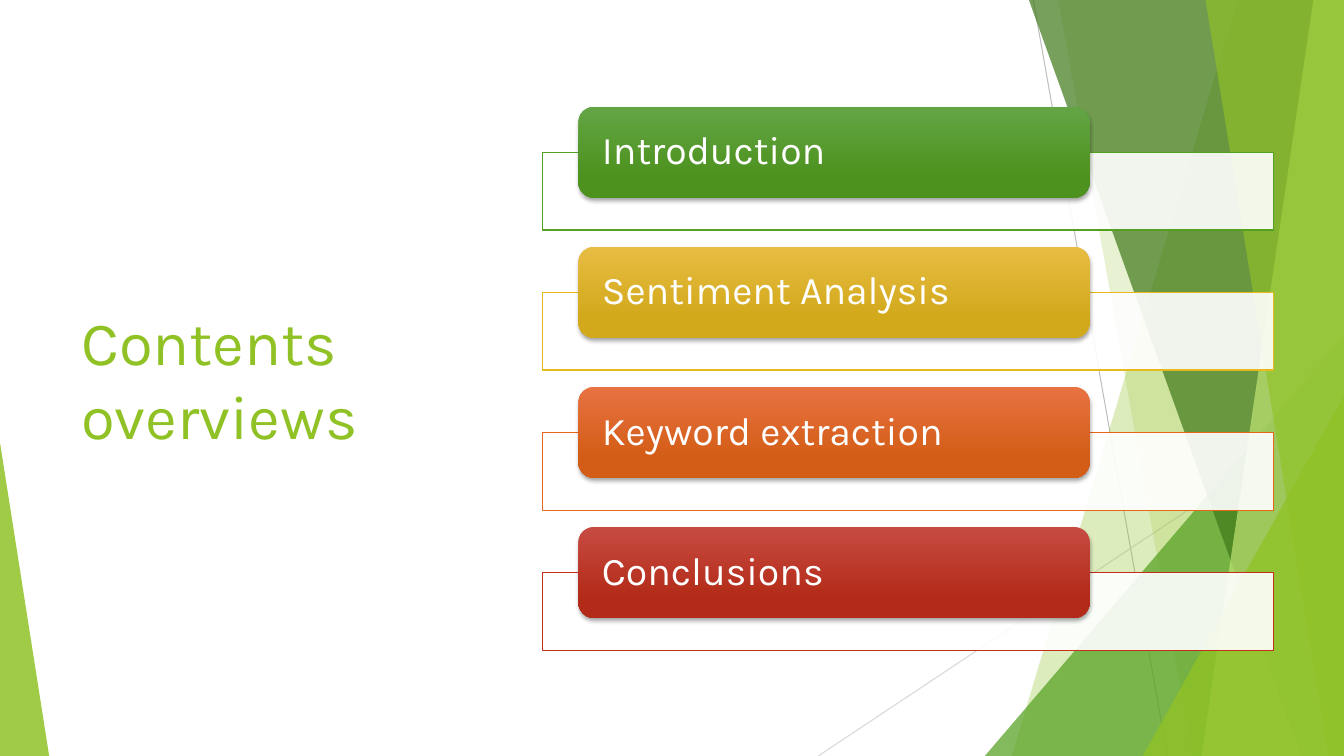
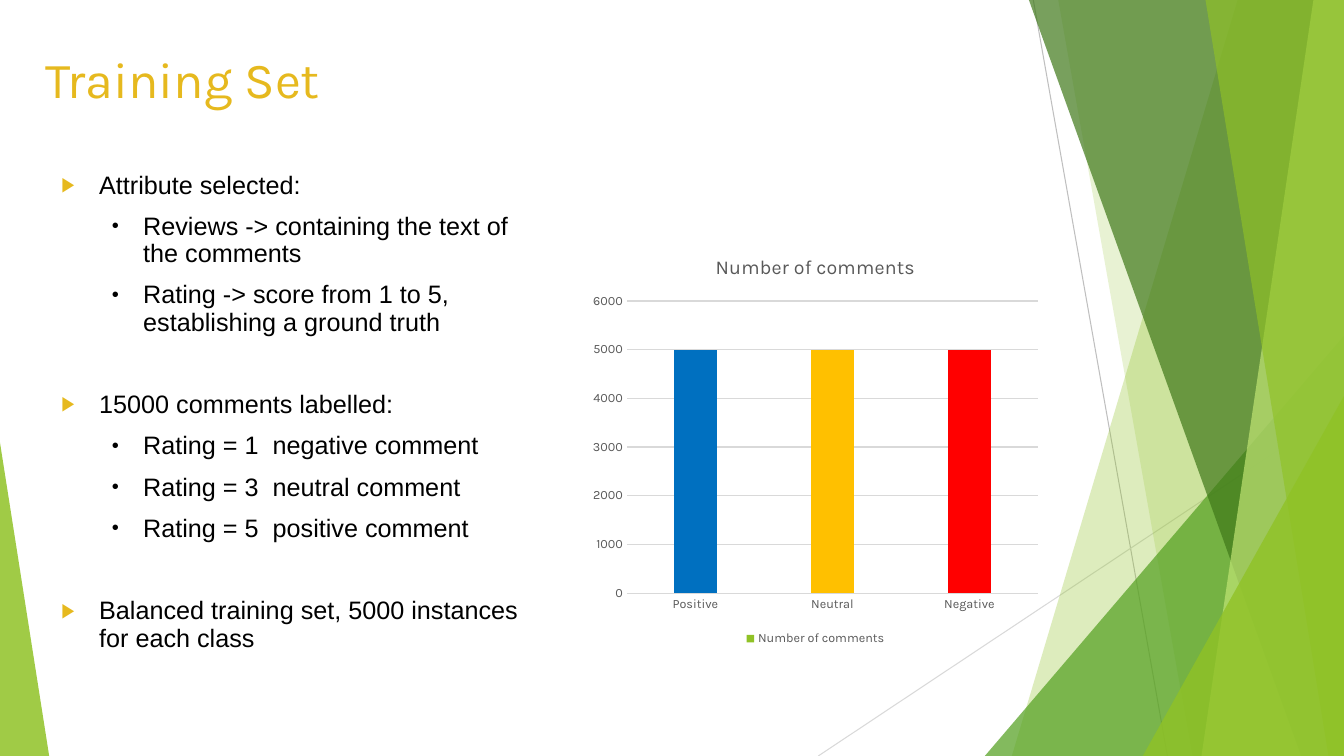
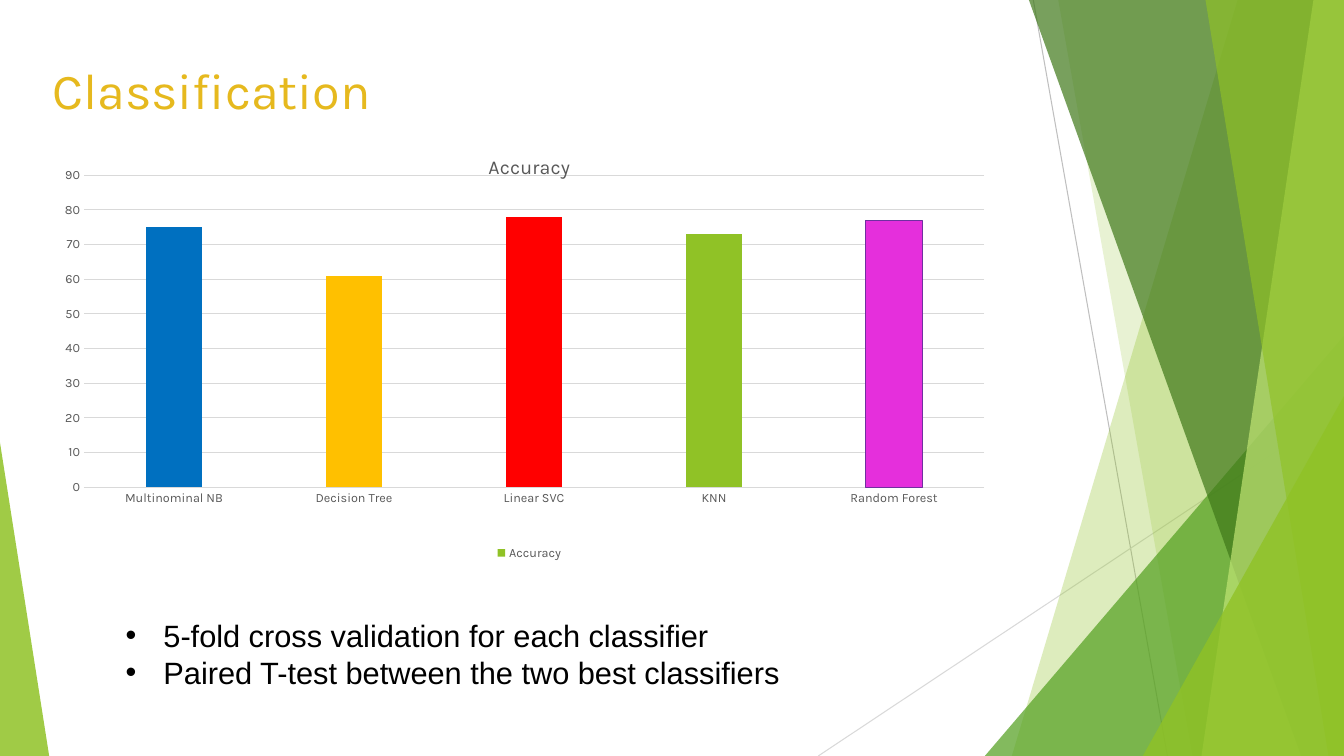
from dataclasses import dataclass
from typing import Optional, Union

from pptx import Presentation
from pptx.chart.chart import Chart
from pptx.chart.data import CategoryChartData
from pptx.dml.color import RGBColor
from pptx.enum.chart import XL_CHART_TYPE, XL_LEGEND_POSITION, XL_TICK_MARK
from pptx.enum.shapes import MSO_CONNECTOR, MSO_SHAPE
from pptx.enum.text import MSO_ANCHOR
from pptx.oxml import parse_xml
from pptx.oxml.ns import nsdecls, qn
from pptx.oxml.xmlchemy import OxmlElement
from pptx.shapes.autoshape import Shape
from pptx.slide import Slide
from pptx.text.text import Font, TextFrame
from pptx.util import Cm, Pt

WIDTH, HEIGHT = 33.87, 19.05
HEADING_FONT, BODY_FONT = "Karla", "Arial"

WHITE = RGBColor(0xFF, 0xFF, 0xFF)
BLACK = RGBColor(0x00, 0x00, 0x00)
GREY = RGBColor(0x59, 0x59, 0x59)
SILVER = RGBColor(0xBF, 0xBF, 0xBF)
PALE_GREY = RGBColor(0xD9, 0xD9, 0xD9)
LIME = RGBColor(0x90, 0xC2, 0x26)
PALE_LIME = RGBColor(0xC0, 0xE4, 0x74)
GREEN = RGBColor(0x54, 0xA0, 0x21)
DARK_GREEN = RGBColor(0x3F, 0x78, 0x19)
GOLD = RGBColor(0xE6, 0xB9, 0x1E)
ORANGE = RGBColor(0xE7, 0x66, 0x18)
BRICK = RGBColor(0xC4, 0x2F, 0x1A)
BLUE = RGBColor(0x00, 0x70, 0xC0)
AMBER = RGBColor(0xFF, 0xC0, 0x00)
RED = RGBColor(0xFF, 0x00, 0x00)
MAGENTA = RGBColor(0xE5, 0x2F, 0xDC)
PURPLE = RGBColor(0x70, 0x30, 0xA0)


@dataclass(frozen=True)
class Box:
    left: float
    top: float
    width: float
    height: float

    def lengths(self) -> tuple[Cm, Cm, Cm, Cm]:
        return Cm(self.left), Cm(self.top), Cm(self.width), Cm(self.height)


@dataclass(frozen=True)
class Strip:
    top_x: float
    bottom_x: float
    color: RGBColor
    opacity: int


@dataclass(frozen=True)
class Wedge:
    box: Box
    apex: float
    color: RGBColor
    opacity: int


@dataclass(frozen=True)
class Ray:
    start: tuple[float, float]
    end: tuple[float, float]
    color: RGBColor


@dataclass(frozen=True)
class Topic:
    name: str
    outline: RGBColor
    light: RGBColor
    dark: RGBColor


@dataclass(frozen=True)
class Bullet:
    symbol: str
    indent: float
    hanging: float
    color: RGBColor = BLACK
    percent: int = 80


@dataclass(frozen=True)
class Bar:
    category: str
    value: float
    color: RGBColor
    outline: Optional[RGBColor] = None


@dataclass(frozen=True)
class ColumnChart:
    name: str
    box: Box
    maximum: int
    step: int
    bars: tuple[Bar, ...]
    plot: Optional[tuple[float, float, float, float]] = None


RAYS = (
    Ray((26.04, 0), (29.42, HEIGHT), SILVER),
    Ray((WIDTH, 10.24), (20.62, HEIGHT), PALE_GREY),
)
FACETS: tuple[Union[Strip, Wedge], ...] = (
    Strip(31.19, 25.5, LIME, 30),
    Strip(26.67, 30.05, LIME, 20),
    Wedge(Box(24.82, 8.46, 9.05, 10.59), 1, GREEN, 72),
    Strip(25.93, 32.79, DARK_GREEN, 70),
    Strip(33.1, 30.28, PALE_LIME, 70),
    Strip(30.38, 33.48, LIME, 65),
    Wedge(Box(28.8, 9.98, 5.07, 9.07), 1, LIME, 80),
    Wedge(Box(0, 11.15, 1.24, 7.9), 0, LIME, 85),
)
TOPICS = (
    Topic("Introduction", GREEN, RGBColor(0x63, 0xA5, 0x45), RGBColor(0x4D, 0x92, 0x1E)),
    Topic("Sentiment Analysis", GOLD, RGBColor(0xE7, 0xBC, 0x43), RGBColor(0xD2, 0xA9, 0x1B)),
    Topic("Keyword extraction", ORANGE, RGBColor(0xE8, 0x72, 0x42), RGBColor(0xD3, 0x5D, 0x16)),
    Topic("Conclusions", BRICK, RGBColor(0xC7, 0x4B, 0x42), RGBColor(0xB3, 0x2B, 0x18)),
)
TOPIC_PITCH = 3.53

ARROW = Bullet("▶", 0.95, 0.95, GOLD)
DOT = Bullet("•", 2.06, 0.79)
LARGE_DOT = Bullet("•", 0.95, 0.95, percent=100)
SECTION_GAP = 39.5
TRAINING_NOTES = (
    ("Attribute selected:", ARROW, 10),
    ("Reviews -> containing the text of the comments", DOT, 10),
    ("Rating -> score from 1 to 5, establishing a ground truth", DOT, 10),
    ("15000 comments labelled:", ARROW, SECTION_GAP),
    ("Rating = 1  negative comment", DOT, 10),
    ("Rating = 3  neutral comment", DOT, 10),
    ("Rating = 5  positive comment", DOT, 10),
    ("Balanced training set, 5000 instances for each class", ARROW, SECTION_GAP),
)
CLASSIFICATION_NOTES = (
    "5-fold cross validation for each classifier",
    "Paired T-test between the two best classifiers",
)

COMMENTS_CHART = ColumnChart(
    "Number of comments", Box(14.71, 5.97, 11.68, 10.41), 6000, 1000,
    (Bar("Positive", 5000, BLUE), Bar("Neutral", 5000, AMBER), Bar("Negative", 5000, RED)),
)
ACCURACY_CHART = ColumnChart(
    "Accuracy", Box(1.4, 3.45, 23.88, 10.77), 90, 10,
    (
        Bar("Multinominal NB", 75, BLUE),
        Bar("Decision Tree", 61, AMBER),
        Bar("Linear SVC", 78, RED),
        Bar("KNN", 73, LIME),
        Bar("Random Forest", 77, MAGENTA, PURPLE),
    ),
    plot=(0.03, 0.09, 0.95, 0.73),
)


def format_font(font: Font, *, size: float, color: RGBColor, name: str = HEADING_FONT) -> None:
    font.name = name
    font.size = Pt(size)
    font.bold = False
    font.color.rgb = color


def write_text(
    frame: TextFrame,
    text: str,
    *,
    size: float,
    color: RGBColor,
    font: str = HEADING_FONT,
    line_spacing: float = 1.0,
    space_before: float = 0,
    bullet: Optional[Bullet] = None,
) -> None:
    paragraph = frame.paragraphs[0] if not frame.text else frame.add_paragraph()
    paragraph.line_spacing = line_spacing
    paragraph.space_before = Pt(space_before)
    run = paragraph.add_run()
    run.text = text
    format_font(run.font, size=size, color=color, name=font)
    if bullet:
        properties = paragraph._p.get_or_add_pPr()
        properties.set("marL", str(Cm(bullet.indent)))
        properties.set("indent", str(-Cm(bullet.hanging)))
        for markup in (
            f'<a:buClr {nsdecls("a")}><a:srgbClr val="{bullet.color}"/></a:buClr>',
            f'<a:buSzPct {nsdecls("a")} val="{bullet.percent * 1000}"/>',
            f'<a:buFont {nsdecls("a")} typeface="{BODY_FONT}"/>',
            f'<a:buChar {nsdecls("a")} char="{bullet.symbol}"/>',
        ):
            properties.append(parse_xml(markup))


def add_text_frame(slide: Slide, box: Box, anchor: MSO_ANCHOR = MSO_ANCHOR.TOP) -> TextFrame:
    frame = slide.shapes.add_textbox(*box.lengths()).text_frame
    frame.word_wrap = True
    frame.vertical_anchor = anchor
    return frame


def paint(shape: Shape, color: RGBColor, opacity: int) -> None:
    shape.shadow.inherit = False
    shape.line.fill.background()
    shape.fill.solid()
    shape.fill.fore_color.rgb = color
    alpha = OxmlElement("a:alpha")
    alpha.set("val", str(opacity * 1000))
    shape.element.spPr.find(qn("a:solidFill"))[0].append(alpha)


def draw_ray(slide: Slide, ray: Ray) -> None:
    points = (Cm(value) for value in (*ray.start, *ray.end))
    connector = slide.shapes.add_connector(MSO_CONNECTOR.STRAIGHT, *points)
    connector.line.color.rgb = ray.color
    connector.line.width = Pt(0.75)
    connector._element.spPr.append(OxmlElement("a:effectLst"))


def draw_facet(slide: Slide, facet: Union[Strip, Wedge]) -> None:
    if isinstance(facet, Wedge):
        shape = slide.shapes.add_shape(MSO_SHAPE.ISOSCELES_TRIANGLE, *facet.box.lengths())
        shape.adjustments[0] = facet.apex
    else:
        builder = slide.shapes.build_freeform(Cm(facet.top_x), 0)
        corners = ((WIDTH, 0), (WIDTH, HEIGHT), (facet.bottom_x, HEIGHT))
        builder.add_line_segments([(Cm(x), Cm(y)) for x, y in corners], close=True)
        shape = builder.convert_to_shape()
    paint(shape, facet.color, facet.opacity)


def add_base_slide(
    presentation: Presentation,
    title: str,
    box: Box,
    *,
    size: float = 36,
    color: RGBColor = GOLD,
    anchor: MSO_ANCHOR = MSO_ANCHOR.MIDDLE,
) -> Slide:
    slide = presentation.slides.add_slide(presentation.slide_layouts[6])
    for ray in RAYS:
        draw_ray(slide, ray)
    for facet in FACETS:
        draw_facet(slide, facet)
    write_text(add_text_frame(slide, box, anchor), title, size=size, color=color)
    return slide


def draw_topic(slide: Slide, topic: Topic, offset: float) -> None:
    frame_box = Box(13.67, 3.84 + offset, 18.42, 1.96)
    panel = slide.shapes.add_shape(MSO_SHAPE.RECTANGLE, *frame_box.lengths())
    paint(panel, WHITE, 90)
    panel.line.color.rgb = topic.outline
    panel.line.width = Pt(1)

    tab_box = Box(14.58, 2.69 + offset, 12.88, 2.29)
    tab = slide.shapes.add_shape(MSO_SHAPE.ROUNDED_RECTANGLE, *tab_box.lengths())
    tab.line.fill.background()
    tab.fill.gradient()
    tab.fill.gradient_angle = 270
    for stop, color, position in zip(
        tab.fill.gradient_stops, (topic.light, topic.dark), (0, 0.78)
    ):
        stop.color.rgb = color
        stop.position = position
    tab.shadow.inherit = False
    tab.element.spPr.find(qn("a:effectLst")).append(parse_xml(
        f'<a:outerShdw {nsdecls("a")} blurRad="{Pt(3)}" dist="{Pt(2)}" dir="5400000" '
        'rotWithShape="0"><a:srgbClr val="000000"><a:alpha val="35000"/></a:srgbClr></a:outerShdw>'
    ))
    frame = tab.text_frame
    frame.word_wrap = True
    frame.vertical_anchor = MSO_ANCHOR.MIDDLE
    frame.margin_left = frame.margin_right = Cm(0.48)
    frame.margin_top = frame.margin_bottom = 0
    frame.paragraphs[0].alignment = 1
    write_text(frame, topic.name, size=28, color=WHITE, line_spacing=0.9)


def set_plot_area(chart: Chart, plot: tuple[float, float, float, float]) -> None:
    sizes = "".join(f'<c:{key} val="{value}"/>' for key, value in zip("xywh", plot))
    layout = parse_xml(
        f'<c:layout {nsdecls("c")}><c:manualLayout><c:layoutTarget val="inner"/>'
        f'<c:xMode val="edge"/><c:yMode val="edge"/>{sizes}</c:manualLayout></c:layout>'
    )
    plot_area = chart._chartSpace.chart.plotArea
    for existing in plot_area.findall(qn("c:layout")):
        plot_area.remove(existing)
    plot_area.insert(0, layout)


def draw_chart(slide: Slide, column_chart: ColumnChart) -> None:
    data = CategoryChartData()
    data.categories = [bar.category for bar in column_chart.bars]
    data.add_series(column_chart.name, [bar.value for bar in column_chart.bars])
    chart = slide.shapes.add_chart(
        XL_CHART_TYPE.COLUMN_CLUSTERED, *column_chart.box.lengths(), data
    ).chart
    format_font(chart.font, size=10, color=BLACK)

    chart.has_title = True
    title = chart.chart_title
    title.include_in_layout = False
    write_text(title.text_frame, column_chart.name, size=14, color=GREY)

    chart.has_legend = True
    chart.legend.position = XL_LEGEND_POSITION.BOTTOM
    chart.legend.include_in_layout = False
    format_font(chart.legend.font, size=9, color=GREY)

    category_axis, value_axis = chart.category_axis, chart.value_axis
    for axis in (category_axis, value_axis):
        axis.major_tick_mark = axis.minor_tick_mark = XL_TICK_MARK.NONE
        format_font(axis.tick_labels.font, size=9, color=GREY)
    value_axis.minimum_scale = 0
    value_axis.maximum_scale = column_chart.maximum
    value_axis.major_unit = column_chart.step
    value_axis.format.line.fill.background()
    for line in (category_axis.format.line, value_axis.major_gridlines.format.line):
        line.color.rgb = PALE_GREY
        line.width = Pt(0.75)

    plot = chart.plots[0]
    plot.vary_by_categories = False
    plot.gap_width = 219
    plot.overlap = -27
    series = plot.series[0]
    series.format.fill.solid()
    series.format.fill.fore_color.rgb = LIME
    for index, bar in enumerate(column_chart.bars):
        point_format = series.points[index].format
        point_format.fill.solid()
        point_format.fill.fore_color.rgb = bar.color
        if bar.outline:
            point_format.line.color.rgb = bar.outline
            point_format.line.width = Pt(0.75)
    if column_chart.plot:
        set_plot_area(chart, column_chart.plot)


def build_contents(presentation: Presentation) -> None:
    slide = add_base_slide(
        presentation, "Contents overviews", Box(1.8, 3.84, 9.86, 11.38), size=44, color=LIME
    )
    for index, topic in enumerate(TOPICS):
        draw_topic(slide, topic, index * TOPIC_PITCH)


def build_training_set(presentation: Presentation) -> None:
    slide = add_base_slide(
        presentation, "Training Set", Box(0.91, 1.09, 24.82, 1.83), anchor=MSO_ANCHOR.TOP
    )
    frame = add_text_frame(slide, Box(1.3, 4.22, 12.4, 12.98))
    for text, bullet, space_before in TRAINING_NOTES:
        write_text(
            frame, text, size=18, color=BLACK, font=BODY_FONT,
            line_spacing=0.9, space_before=space_before, bullet=bullet,
        )
    draw_chart(slide, COMMENTS_CHART)


def build_classification(presentation: Presentation) -> None:
    slide = add_base_slide(presentation, "Classification", Box(1.07, 0.41, 23.88, 3.66))
    draw_chart(slide, ACCURACY_CHART)
    frame = add_text_frame(slide, Box(2.92, 15.42, 26.47, 2.13))
    for text in CLASSIFICATION_NOTES:
        write_text(frame, text, size=22, color=BLACK, font=BODY_FONT, bullet=LARGE_DOT)


def main() -> None:
    presentation = Presentation()
    presentation.slide_width = Cm(WIDTH)
    presentation.slide_height = Cm(HEIGHT)
    build_contents(presentation)
    build_training_set(presentation)
    build_classification(presentation)
    presentation.save("out.pptx")


if __name__ == "__main__":
    main()
